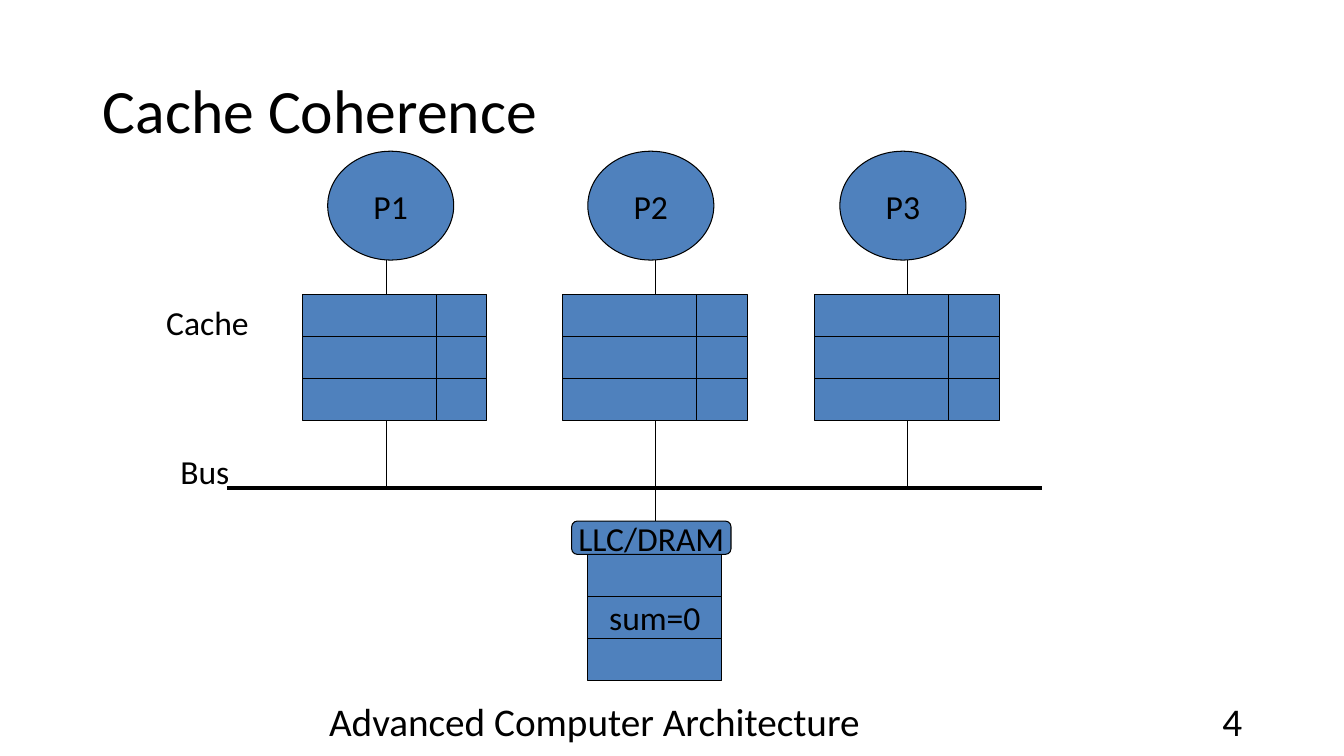
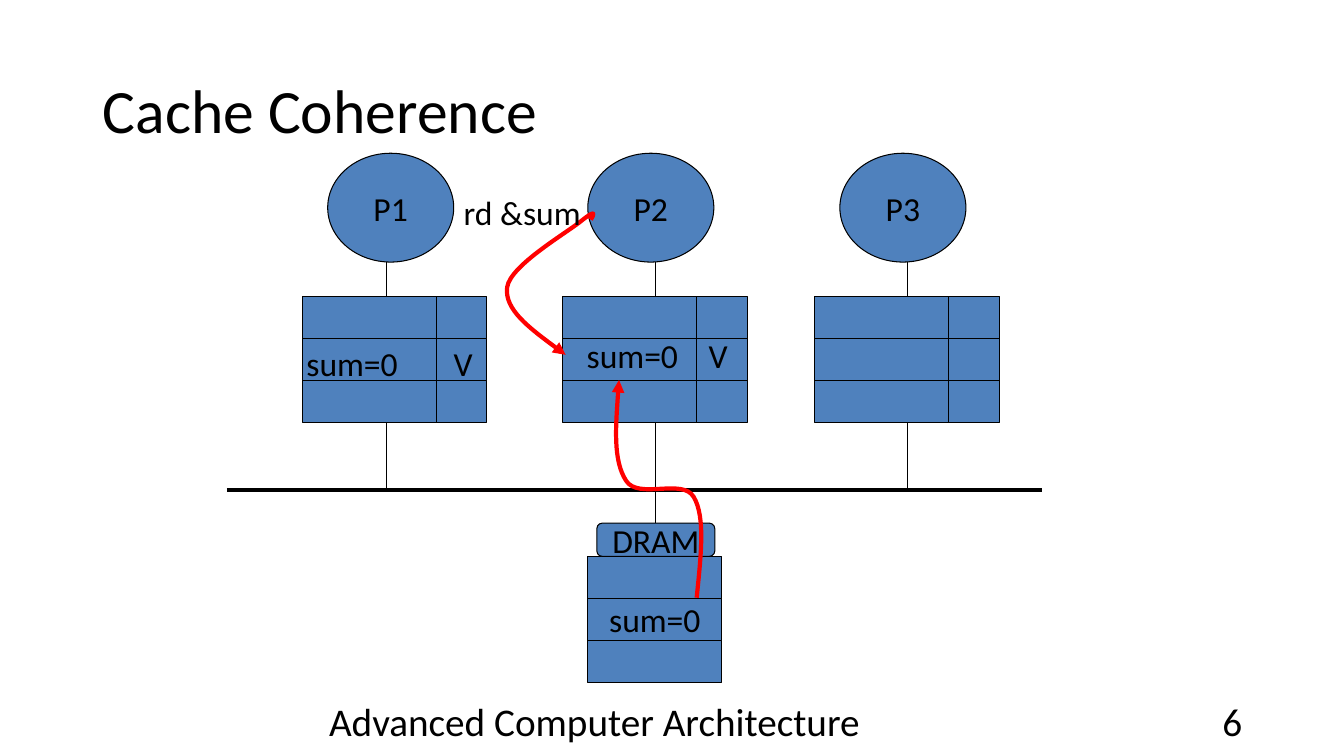
from lxml.etree import SubElement
from pptx import Presentation
from pptx.dml.color import RGBColor
from pptx.enum.shapes import MSO_CONNECTOR, MSO_SHAPE
from pptx.enum.text import MSO_ANCHOR, PP_ALIGN
from pptx.oxml.ns import qn
from pptx.util import Inches, Pt

BLACK, BLUE, RED = "000000", "4F81BD", "FF0000"
FONT = "Calibri"
ROW_HEIGHT = 1.25 / 3
DATA_WIDTH, TAG_WIDTH = 1.33, 0.5

# Processor name: (left edge of its cache, x of its bus connection)
PROCESSORS = {"P1": (3, 3.83), "P2": (5.58, 6.5), "P3": (8.08, 9)}

# Labels are (text, left, top, width); each curve is a start point
# followed by three Bezier points per segment.
SLIDES = [
    {
        "number": "4",
        "offset": 0,
        "memory": ("LLC/DRAM", 5.67, 1.58),
        "labels": [("Cache", 1.55, 2.95, 1.24), ("Bus", 1.69, 4.42, 0.81)],
        "curves": [],
    },
    {
        "number": "6",
        "offset": 0.02,
        "memory": ("DRAM", 5.92, 1.17),
        "labels": [
            ("sum=0", 2.94, 3.35, 1.11),
            ("V", 4.4, 3.35, 0.39),
            ("rd &sum", 4.5, 1.85, 1.62),
            ("sum=0", 5.72, 3.27, 1.11),
            ("V", 6.93, 3.27, 0.39),
        ],
        "curves": [
            [(5.86, 2.18), (5.89, 2.13), (5.92, 2.07), (5.78, 2.18),
             (5.64, 2.3), (5.06, 2.63), (5.03, 2.85),
             (5, 3.07), (5.31, 3.3), (5.61, 3.52)],
            [(6.91, 5.93), (6.95, 5.53), (7, 5.13), (6.88, 4.93),
             (6.77, 4.74), (6.33, 4.96), (6.21, 4.77),
             (6.08, 4.57), (6.11, 4.17), (6.14, 3.77)],
        ],
    },
]


def write_text(shape, text, size=24, align=PP_ALIGN.CENTER, anchor=MSO_ANCHOR.MIDDLE, wrap=False):
    frame = shape.text_frame
    frame.text = text
    frame.word_wrap = wrap
    frame.vertical_anchor = anchor
    paragraph = frame.paragraphs[0]
    paragraph.alignment = align
    font = paragraph.runs[0].font
    for name, value in {"name": FONT, "size": Pt(size), "bold": False}.items():
        setattr(font, name, value)
    font.color.rgb = RGBColor.from_string(BLACK)
    return paragraph


def style_line(shape, color=BLACK, width=0.75):
    """Set the outline and switch the theme shadow off."""
    shape.line.color.rgb = RGBColor.from_string(color)
    shape.line.width = Pt(width)
    SubElement(shape._element.spPr, qn("a:effectLst"))


presentation = Presentation()
presentation.slide_width = Inches(13.33)
presentation.slide_height = Inches(7.5)
title_only = presentation.slide_layouts[5]

for content in SLIDES:
    slide = presentation.slides.add_slide(title_only)
    offset = content["offset"]

    title = slide.shapes.title
    title_box = {"left": 0.92, "top": 0.4, "width": 11.5, "height": 1.45}
    for name, value in title_box.items():
        setattr(title, name, Inches(value))
    heading = write_text(title, "Cache Coherence", 44, PP_ALIGN.LEFT, wrap=True)
    heading.line_spacing = 0.9

    # Blocks are (preset, text, left, top, width, height); lines are (x1, y1, x2, y2, width).
    blocks = []
    bus_y = 4.84
    lines = [(2.25, bus_y, 10.33, bus_y, 3.25), (6.5, bus_y, 6.5, 5.17, 0.75)]
    for processor, (left, connection) in PROCESSORS.items():
        blocks.append((MSO_SHAPE.OVAL, processor, left + 0.25, 1.5, 1.25, 1.08))
        lines.append((connection, 2.58, connection, 2.92, 0.75))
        lines.append((connection, 4.17, connection, bus_y, 0.75))
        for row in range(3):
            top = 2.92 + row * ROW_HEIGHT
            blocks.append((MSO_SHAPE.RECTANGLE, "", left, top, DATA_WIDTH, ROW_HEIGHT))
            blocks.append((MSO_SHAPE.RECTANGLE, "", left + DATA_WIDTH, top, TAG_WIDTH, ROW_HEIGHT))
    for row, text in enumerate(["", "sum=0", ""]):
        blocks.append((MSO_SHAPE.RECTANGLE, text, 5.83, 5.5 + row * ROW_HEIGHT, DATA_WIDTH, ROW_HEIGHT))
    memory, left, width = content["memory"]
    blocks.append((MSO_SHAPE.ROUNDED_RECTANGLE, memory, left, 5.17, width, 0.33))

    for preset, text, left, top, width, height in blocks:
        block = slide.shapes.add_shape(
            preset, Inches(left), Inches(top + offset), Inches(width), Inches(height))
        block.fill.solid()
        block.fill.fore_color.rgb = RGBColor.from_string(BLUE)
        style_line(block)
        if text:
            write_text(block, text)

    for x1, y1, x2, y2, width in lines:
        connector = slide.shapes.add_connector(
            MSO_CONNECTOR.STRAIGHT,
            Inches(x1), Inches(y1 + offset), Inches(x2), Inches(y2 + offset))
        style_line(connector, width=width)

    for curve in content["curves"]:
        start, *points = [(Inches(x), Inches(y)) for x, y in curve]
        builder = slide.shapes.build_freeform(*start)
        builder.add_line_segments(points, close=False)
        arrow = builder.convert_to_shape()
        arrow.fill.background()
        style_line(arrow, RED, 3)
        SubElement(arrow.line._get_or_add_ln(), qn("a:tailEnd"), type="triangle")
        # Merge every three straight segments into one Bezier segment.
        outline = arrow._element.spPr.find(".//" + qn("a:path"))
        segments = outline.findall(qn("a:lnTo"))
        for index in range(0, len(segments), 3):
            bezier = SubElement(outline, qn("a:cubicBezTo"))
            for segment in segments[index:index + 3]:
                bezier.append(segment[0])
                outline.remove(segment)

    for text, left, top, width in content["labels"]:
        label = slide.shapes.add_textbox(Inches(left), Inches(top), Inches(width), Inches(0.5))
        write_text(label, text, align=PP_ALIGN.LEFT, anchor=MSO_ANCHOR.TOP)

    for text, left, width, align in [
        ("Advanced Computer Architecture", 2.87, 6.05, PP_ALIGN.CENTER),
        (content["number"], 9.42, 3, PP_ALIGN.RIGHT),
    ]:
        footer = slide.shapes.add_textbox(Inches(left), Inches(6.95), Inches(width), Inches(0.4))
        write_text(footer, text, 28, align, wrap=True)

presentation.save("out.pptx")
